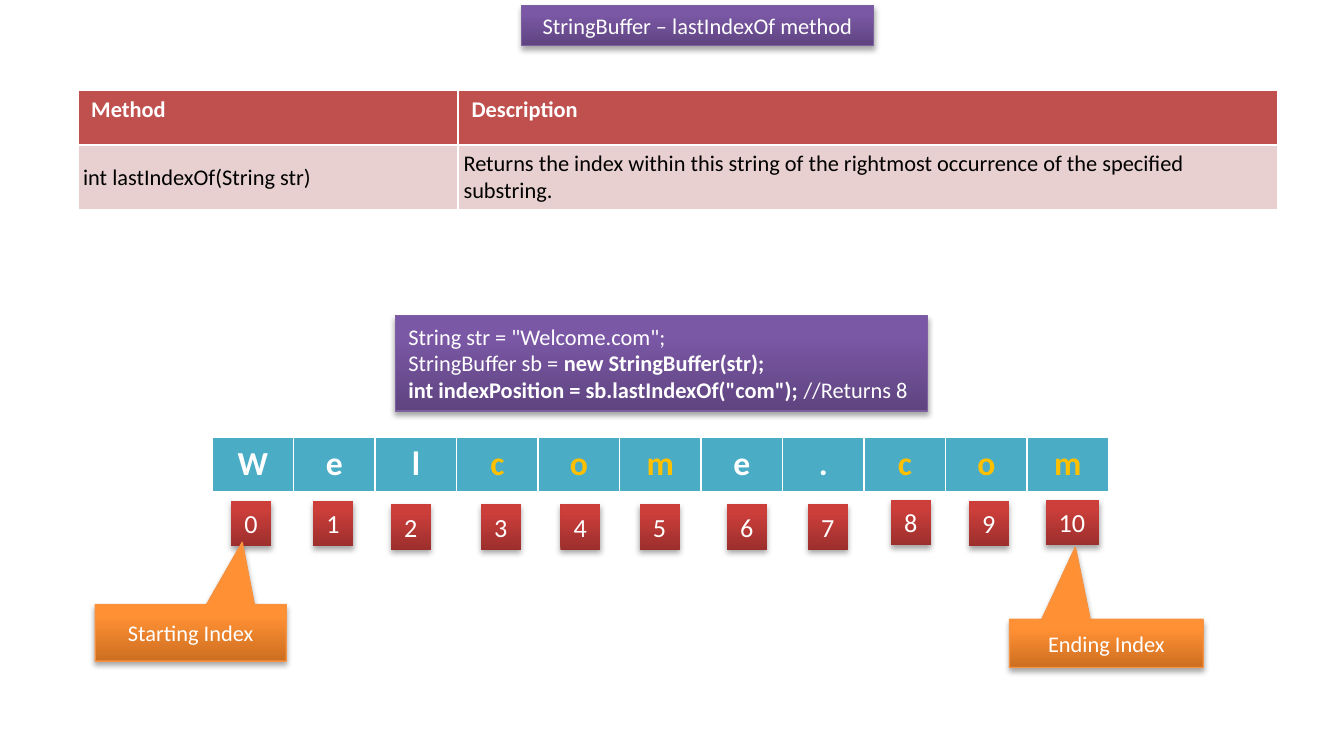
from dataclasses import dataclass

from lxml import etree
from pptx import Presentation
from pptx.dml import color
from pptx.enum import shapes, text
from pptx.oxml import ns
from pptx.util import Cm, Pt


@dataclass(frozen=True)
class Theme:
    font: str = "Calibri"
    body: int = 12
    index: int = 14
    letter: int = 18
    white: str = "FFFFFF"
    black: str = "000000"
    gold: str = "FFC000"
    header: str = "C0504D"
    row: str = "E8D0D0"
    strip: str = "4BACC6"
    purple: tuple = ("5F4480", "7B58A6", "7D60A0")
    red: tuple = ("9C2F2D", "CB3E3A", None)
    orange: tuple = ("CC6E20", "FF9034", "F69240")


T = Theme()
RECT = shapes.MSO_SHAPE.RECTANGLE
CALLOUT = shapes.MSO_SHAPE.RECTANGULAR_CALLOUT
LEFT, CENTER = text.PP_ALIGN.LEFT, text.PP_ALIGN.CENTER
TOP, MIDDLE = text.MSO_ANCHOR.TOP, text.MSO_ANCHOR.MIDDLE


def rgb(value):
    return color.RGBColor.from_string(value)


def add_run(p, value, size=T.body, ink=T.white, bold=False):
    r = p.add_run()
    r.text = value
    r.font.name = T.font
    r.font.size = Pt(size)
    r.font.bold = bold
    r.font.color.rgb = rgb(ink)


def add_shadow(sp):
    sp.shadow.inherit = False
    effects = sp._element.spPr.find(ns.qn("a:effectLst"))
    shadow = etree.SubElement(
        effects, ns.qn("a:outerShdw"), blurRad=str(Pt(3.1)), dist=str(Pt(1.8)),
        dir="5400000", rotWithShape="0")
    ink = etree.SubElement(shadow, ns.qn("a:srgbClr"), val=T.black)
    etree.SubElement(ink, ns.qn("a:alpha"), val="35000")


def style_panel(sp, palette):
    dark, light, edge = palette
    sp.fill.gradient()
    sp.fill.gradient_angle = 90
    for stop, ink, position in zip(sp.fill.gradient_stops, (dark, light), (0, 0.8)):
        stop.color.rgb = rgb(ink)
        stop.position = position
    if edge:
        sp.line.color.rgb = rgb(edge)
        sp.line.width = Pt(0.75)
    else:
        sp.line.fill.background()
    add_shadow(sp)


def set_frame(tf, anchor, wrap):
    tf.word_wrap = wrap
    tf.auto_size = text.MSO_AUTO_SIZE.NONE
    tf.vertical_anchor = anchor
    tf.margin_left = tf.margin_right = Cm(0.25)
    tf.margin_top = tf.margin_bottom = Cm(0.13)


def add_title(slide, value, box):
    sp = slide.shapes.title
    sp.left, sp.top, sp.width, sp.height = map(Cm, box)
    style_panel(sp, T.purple)
    set_frame(sp.text_frame, TOP, True)
    p = sp.text_frame.paragraphs[0]
    p.alignment = CENTER
    add_run(p, value)


def add_panel(slide, kind, box, palette, lines, size=T.body,
              align=LEFT, anchor=TOP, wrap=False):
    sp = slide.shapes.add_shape(kind, *map(Cm, box))
    style_panel(sp, palette)
    tf = sp.text_frame
    set_frame(tf, anchor, wrap)
    for i, line in enumerate(lines):
        p = tf.paragraphs[0] if i == 0 else tf.add_paragraph()
        p.alignment = align
        for value, bold in line:
            add_run(p, value, size, bold=bold)
    return sp


def add_callout(slide, value, box, tip):
    sp = add_panel(slide, CALLOUT, box, T.orange, [[(value, False)]],
                   align=CENTER, anchor=MIDDLE, wrap=True)
    sp.adjustments[0], sp.adjustments[1] = tip


def add_grid(slide, left, top, widths, heights):
    frame = slide.shapes.add_table(
        len(heights), len(widths), Cm(left), Cm(top), Cm(sum(widths)), Cm(sum(heights)))
    table = frame.table
    table.horz_banding = False
    for column, width in zip(table.columns, widths):
        column.width = Cm(width)
    for row, height in zip(table.rows, heights):
        row.height = Cm(height)
    return table


def fill_cell(cell, value, fill, size=T.body, ink=T.white, bold=True, align=LEFT):
    cell.fill.solid()
    cell.fill.fore_color.rgb = rgb(fill)
    p = cell.text_frame.paragraphs[0]
    p.alignment = align
    add_run(p, value, size, ink, bold)


def add_method_table(slide, headers, values):
    table = add_grid(slide, 1.47, 1.7, [7.19, 15.49], [1.04, 1.17])
    for i, (header, value) in enumerate(zip(headers, values)):
        fill_cell(table.cell(0, i), header, T.header)
        cell = table.cell(1, i)
        fill_cell(cell, value, T.row, ink=T.black, bold=False)
        cell.vertical_anchor = MIDDLE
        cell.margin_left = cell.margin_right = Cm(0.1)
        cell.margin_top = cell.margin_bottom = Cm(0.1)


def add_letters(slide, word, highlighted):
    table = add_grid(slide, 4.01, 8.26, [1.54] * len(word), [1.04])
    for i, letter in enumerate(word):
        ink = T.gold if letter in highlighted else T.white
        fill_cell(table.cell(0, i), letter, T.strip, T.letter, ink, align=CENTER)


def add_indexes(slide):
    lefts = [4.37, 5.92, 7.39, 9.09, 10.59, 12.09, 13.74, 15.27, 16.84, 18.31, 19.76]
    tops = [9.47] * 2 + [9.53] * 6 + [9.45, 9.47, 9.45]
    for i, (left, top) in enumerate(zip(lefts, tops)):
        width = 0.76 if i < 10 else 1.02
        add_panel(slide, RECT, (left, top, width, 0.86), T.red,
                  [[(str(i), False)]], T.index)


def main():
    prs = Presentation()
    prs.slide_width, prs.slide_height = Cm(25.4), Cm(13.97)
    slide = prs.slides.add_slide(prs.slide_layouts[5])
    add_title(slide, "StringBuffer – lastIndexOf method", (9.86, 0.1, 6.65, 0.76))
    add_method_table(
        slide, ["Method", "Description"],
        ["int lastIndexOf(String str)",
         "Returns the index within this string of the rightmost occurrence "
         "of the specified substring."])
    add_letters(slide, "Welcome.com", "com")
    add_indexes(slide)
    add_callout(slide, "Starting Index", (1.8, 11.43, 3.61, 1.07), (0.27, -1.6))
    add_callout(slide, "Ending Index", (19.08, 11.71, 3.66, 0.91), (-0.16, -2))
    add_panel(slide, RECT, (7.47, 5.97, 10.06, 1.8), T.purple, [
        [('String str = "Welcome.com";', False)],
        [("StringBuffer sb = ", False), ("new StringBuffer(str);", True)],
        [('int indexPosition = sb.lastIndexOf("com");', True), (" //Returns 8", False)],
    ])
    prs.save("out.pptx")


if __name__ == "__main__":
    main()
